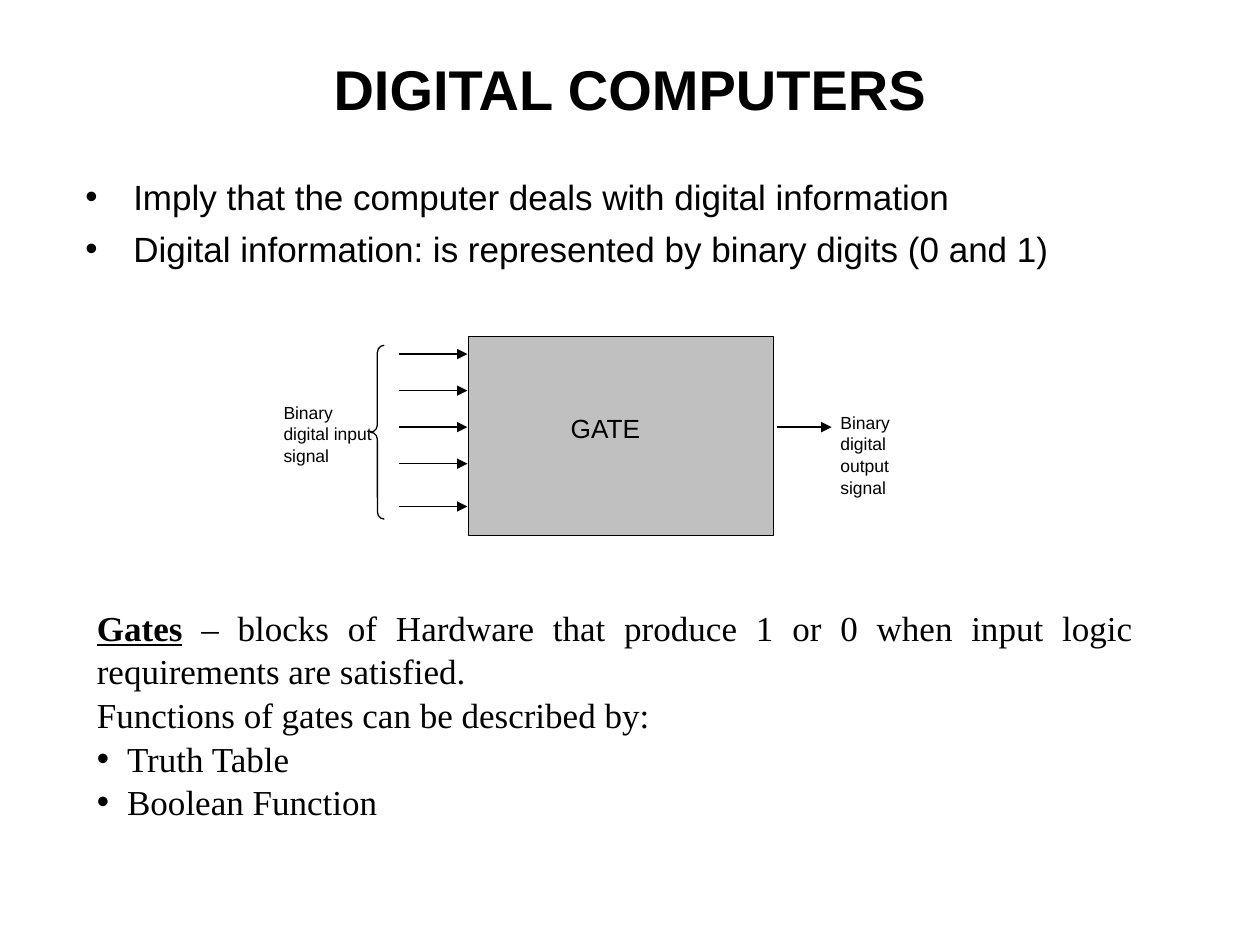
from pptx import Presentation
from pptx.dml.color import RGBColor
from pptx.enum.shapes import MSO_CONNECTOR as Connector, MSO_SHAPE as Shape
from pptx.enum.text import MSO_ANCHOR as Anchor, PP_ALIGN as Align
from pptx.oxml.ns import qn
from pptx.util import Inches, Pt
from lxml.etree import SubElement

BLACK = RGBColor(0x00, 0x00, 0x00)
GRAY = RGBColor(0xC0, 0xC0, 0xC0)
WHITE = RGBColor(0xFF, 0xFF, 0xFF)
SANS, SERIF = "Arial", "Times New Roman"
COLUMNS, ROWS = 100, 75


def write(paragraph, text, size=20, font=SANS, bold=False, underline=False,
          align=Align.LEFT, before=0, hang=0):
    """Add a run to a paragraph; a hanging indent also gives it a bullet."""
    paragraph.alignment = align
    paragraph.space_before = Pt(before)
    paragraph.line_spacing = 1.04
    run = paragraph.add_run()
    run.text = text
    run.font.size, run.font.name = Pt(size), font
    run.font.bold, run.font.underline = bold, underline
    run.font.color.rgb = BLACK
    if hang:
        properties = paragraph._p.get_or_add_pPr()
        properties.set("marL", str(Inches(hang)))
        properties.set("indent", str(-Inches(hang)))
        SubElement(properties, qn("a:buFont"), typeface=SANS)
        SubElement(properties, qn("a:buChar"), char="•")


class Board:
    """Line style and current slide, measured in grid columns and rows."""

    def __init__(self, deck):
        self.column = deck.slide_width / COLUMNS
        self.row = deck.slide_height / ROWS
        self.line_width = Pt(0.75)
        self.slide = deck.slides.add_slide(deck.slide_layouts[5])
        self.slide.background.fill.solid()
        self.slide.background.fill.fore_color.rgb = WHITE

    def place(self, left, top, width, height):
        return (round(left * self.column), round(top * self.row),
                round(width * self.column), round(height * self.row))

    def title(self, text, box, **style):
        heading = self.slide.shapes.title
        heading.left, heading.top, heading.width, heading.height = self.place(*box)
        heading.text_frame.vertical_anchor = Anchor.MIDDLE
        write(heading.text_frame.paragraphs[0], text, **style)

    def text(self, box, paragraphs, inset=(0.1, 0.05)):
        """Each paragraph is a list of (text, style) runs."""
        frame = self.slide.shapes.add_textbox(*self.place(*box)).text_frame
        frame.word_wrap = True
        frame.margin_left = frame.margin_right = Inches(inset[0])
        frame.margin_top = frame.margin_bottom = Inches(inset[1])
        for index, runs in enumerate(paragraphs):
            paragraph = frame.add_paragraph() if index else frame.paragraphs[0]
            for words, style in runs:
                write(paragraph, words, **style)

    def label(self, text, box, **style):
        self.text(box, [[(text, style)]], inset=(0.08, 0.04))

    def shape(self, kind, box, fill=None):
        item = self.slide.shapes.add_shape(kind, *self.place(*box))
        item.shadow.inherit = False
        if fill is None:
            item.fill.background()
        else:
            item.fill.solid()
            item.fill.fore_color.rgb = fill
        item.line.color.rgb = BLACK
        item.line.width = self.line_width
        return item

    def arrow(self, start, end, level):
        x1, y, x2, _ = self.place(start, level, end, 0)
        arrow = self.slide.shapes.add_connector(Connector.STRAIGHT, x1, y, x2, y)
        arrow.line.color.rgb = BLACK
        arrow.line.width = self.line_width
        SubElement(arrow.line._get_or_add_ln(), qn("a:tailEnd"), type="triangle")
        SubElement(arrow._element.spPr, qn("a:effectLst"))


def main():
    deck = Presentation()
    deck.slide_width, deck.slide_height = Inches(10), Inches(7.5)
    board = Board(deck)

    # Title and opening points
    board.title("DIGITAL COMPUTERS", (5, 3, 90, 7.8),
                size=32, bold=True, align=Align.CENTER)
    point = dict(before=5, hang=0.38)
    board.text((5.8, 13.3, 85, 9), [
        [("Imply that the computer deals with digital information", point)],
        [("Digital information: is represented by binary digits (0 and 1)", point)],
    ])

    # Gate with its labels
    board.shape(Shape.RECTANGLE, (37.2, 26.7, 24.2, 15.8), GRAY)
    board.label("GATE", (41.1, 32.2, 13.9, 3.3), size=15, align=Align.CENTER)
    board.label("Binary digital input signal", (21.7, 31.4, 9.1, 5.8), size=10)
    board.label("Binary digital output signal", (65.9, 32.2, 9.1, 7.5), size=10)

    # Input and output signals
    for level in (28.1, 31, 33.9, 36.8, 40.2):
        board.arrow(31.7, 37.1, level)
    board.arrow(61.7, 66, 33.9)
    brace = board.shape(Shape.LEFT_BRACE, (29.4, 27.4, 1.1, 13.8))
    brace.adjustments[0] = 0.52

    # Definition of gates
    body = dict(font=SERIF, align=Align.JUSTIFY)
    item = dict(body, hang=0.24)
    board.text((6.7, 47.5, 84.2, 17.7), [
        [("Gates", dict(body, bold=True, underline=True)),
         (" – blocks of Hardware that produce 1 or 0 when input logic "
          "requirements are satisfied.", body)],
        [("Functions of gates can be described by:", body)],
        [("Truth Table", item)],
        [("Boolean Function", item)],
    ])

    deck.save("out.pptx")


if __name__ == "__main__":
    main()
